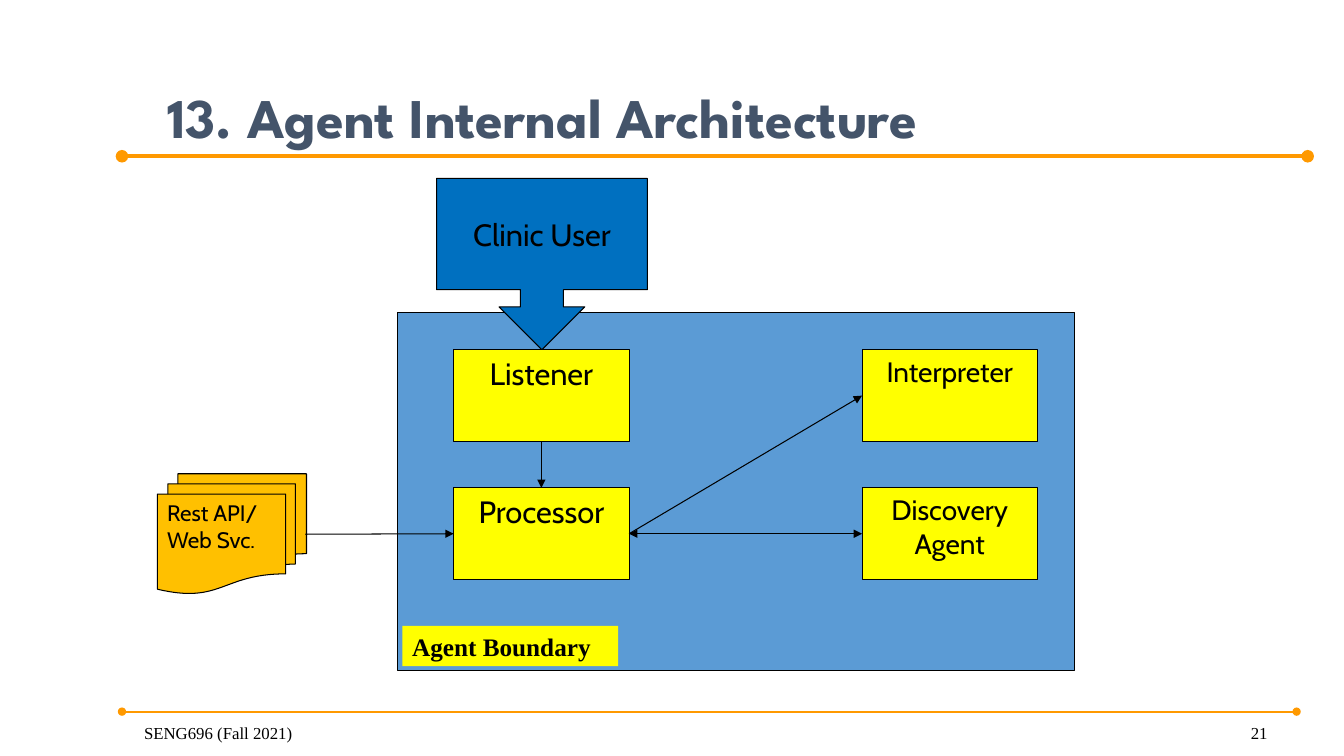
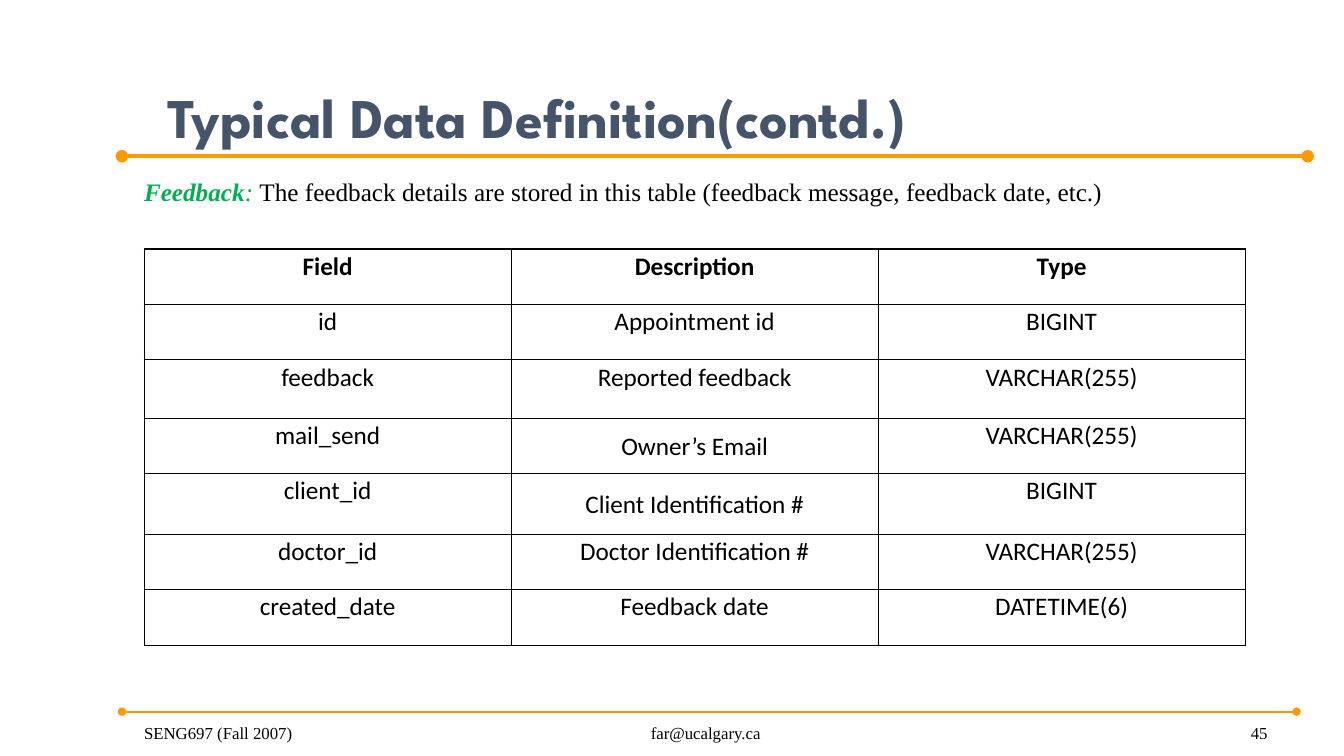
from dataclasses import dataclass

import pptx
import pptx.dml.color
import pptx.enum.shapes
import pptx.enum.text
import pptx.oxml
import pptx.oxml.ns
import pptx.util
from lxml import etree
from pptx.util import Inches

COLOURS = {
    "accent": "FF9900",
    "title": "44546A",
    "text": "000000",
    "boundary": "5B9BD5",
    "user": "0070C0",
    "component": "FFFF00",
    "service": "FFC000",
    "term": "00B050",
}
SERIF, DIAGRAM, HEADING, TABLE = "Times New Roman", "Cabin", "League Spartan", "Calibri"
LEFT, CENTER, RIGHT = (
    pptx.enum.text.PP_ALIGN.LEFT,
    pptx.enum.text.PP_ALIGN.CENTER,
    pptx.enum.text.PP_ALIGN.RIGHT,
)
TOP, MIDDLE, BOTTOM = (
    pptx.enum.text.MSO_ANCHOR.TOP,
    pptx.enum.text.MSO_ANCHOR.MIDDLE,
    pptx.enum.text.MSO_ANCHOR.BOTTOM,
)
SHAPES = pptx.enum.shapes.MSO_SHAPE
SIDE_TOP, SIDE_LEFT, SIDE_BOTTOM, SIDE_RIGHT = range(4)


@dataclass(frozen=True)
class Box:
    left: float
    top: float
    width: float
    height: float

    def emu(self) -> tuple:
        return tuple(Inches(n) for n in (self.left, self.top, self.width, self.height))


@dataclass(frozen=True)
class Component:
    label: str
    column: int
    row: int
    size: int


@dataclass(frozen=True)
class Rule:
    y: float
    right: float
    weight: float


@dataclass(frozen=True)
class Footer:
    text: str
    box: Box
    align: pptx.enum.text.PP_ALIGN


RULES = [Rule(1.55, 12.97, 3), Rule(7.06, 12.86, 1.5)]

COMPONENTS = [
    Component("Listener", 0, 0, 22),
    Component("Processor", 0, 1, 22),
    Component("Interpreter", 1, 0, 20),
    Component("Discovery\nAgent", 1, 1, 20),
]

FIELDS = [
    ("Field", "Description", "Type"),
    ("id", "Appointment id", "BIGINT"),
    ("feedback", "Reported feedback", "VARCHAR(255)"),
    ("mail_send", "Owner’s Email", "VARCHAR(255)"),
    ("client_id", "Client Identification #", "BIGINT"),
    ("doctor_id", "Doctor Identification #", "VARCHAR(255)"),
    ("created_date", "Feedback date", "DATETIME(6)"),
]
ROW_HEIGHTS = [0.55, 0.55, 0.58, 0.55, 0.6, 0.55, 0.55]
CENTRED_DESCRIPTIONS = {"mail_send", "client_id"}


def rgb(name: str) -> pptx.dml.color.RGBColor:
    return pptx.dml.color.RGBColor.from_string(COLOURS[name])


def add_run(paragraph, text: str, *, size: float, font: str = SERIF,
            colour: str = "text", bold: bool = False, italic: bool = False) -> None:
    run = paragraph.add_run()
    run.text = text
    run.font.size = pptx.util.Pt(size)
    run.font.name = font
    run.font.color.rgb = rgb(colour)
    run.font.bold = bold
    run.font.italic = italic


def write(frame, text: str, *, align=LEFT, anchor=TOP, wrap: bool = True,
          line_spacing: float = 1.0, space_after: float = 0, **run_format) -> None:
    """Fill a text frame, one paragraph per line of text."""
    frame.word_wrap = wrap
    frame.vertical_anchor = anchor
    for index, line in enumerate(text.split("\n")):
        paragraph = frame.add_paragraph() if index else frame.paragraphs[0]
        paragraph.alignment = align
        paragraph.line_spacing = line_spacing
        paragraph.space_after = pptx.util.Pt(space_after)
        add_run(paragraph, line, **run_format)


def add_text(slide, box: Box, text: str, **text_format):
    area = slide.shapes.add_textbox(*box.emu())
    write(area.text_frame, text, **text_format)
    return area


def add_block(slide, preset, box: Box, fill: str, text: str = "", **text_format):
    """Add a filled, thinly outlined shape."""
    block = slide.shapes.add_shape(preset, *box.emu())
    block.shadow.inherit = False
    block.fill.solid()
    block.fill.fore_color.rgb = rgb(fill)
    block.line.color.rgb = rgb("text")
    block.line.width = pptx.util.Pt(0.75)
    if text:
        write(block.text_frame, text, wrap=False, font=DIAGRAM, **text_format)
    return block


def add_line(slide, start: tuple[float, float], end: tuple[float, float], *,
             colour: str = "text", weight: float = 0.75, head: str = "", tail: str = ""):
    line = slide.shapes.add_connector(
        pptx.enum.shapes.MSO_CONNECTOR.STRAIGHT, *(Inches(n) for n in start + end))
    line.line.color.rgb = rgb(colour)
    line.line.width = pptx.util.Pt(weight)
    outline = line.line._get_or_add_ln()
    for tag, kind in (("a:headEnd", head), ("a:tailEnd", tail)):
        if kind:
            etree.SubElement(outline, pptx.oxml.ns.qn(tag), type=kind)
    etree.SubElement(line._element.spPr, pptx.oxml.ns.qn("a:effectLst"))
    return line


def join(slide, source, source_side: int, target, target_side: int, *, head: str = "") -> None:
    arrow = add_line(slide, (0, 0), (1, 1), head=head, tail="triangle")
    arrow.begin_connect(source, source_side)
    arrow.end_connect(target, target_side)


def add_base_slide(deck, title: str, course: str, number: str, contact: str = ""):
    """Add a slide with the shared title, rules and footer."""
    slide = deck.slides.add_slide(deck.slide_layouts[6])
    for rule in RULES:
        add_line(slide, (1.21, rule.y), (rule.right, rule.y), colour="accent",
                 weight=rule.weight, head="oval", tail="oval")
    add_text(slide, Box(1.56, 0.28, 11.49, 1.25), title, anchor=BOTTOM,
             size=40, font=HEADING, colour="title", bold=True)
    footers = [
        Footer(course, Box(1.33, 6.98, 2.78, 0.44), LEFT),
        Footer(contact, Box(4.89, 6.98, 4.22, 0.44), CENTER),
        Footer(number, Box(9.89, 6.98, 2.78, 0.44), RIGHT),
    ]
    for footer in footers:
        if footer.text:
            add_text(slide, footer.box, footer.text, align=footer.align, anchor=BOTTOM, size=12)
    return slide


def add_architecture_slide(deck) -> None:
    slide = add_base_slide(deck, "13. Agent Internal Architecture", "SENG696 (Fall 2021)", "21")
    add_block(slide, SHAPES.RECTANGLE, Box(3.94, 3.1, 6.72, 3.55), "boundary")
    add_block(slide, SHAPES.DOWN_ARROW_CALLOUT, Box(4.33, 1.77, 2.09, 1.7), "user",
              "Clinic User", align=CENTER, anchor=MIDDLE, size=22)
    listener, processor, interpreter, discovery = [
        add_block(slide, SHAPES.RECTANGLE,
                  Box(4.5 + 4.05 * part.column, 3.47 + 1.37 * part.row, 1.74, 0.91),
                  "component", part.label, align=CENTER, size=part.size)
        for part in COMPONENTS
    ]
    join(slide, listener, SIDE_BOTTOM, processor, SIDE_TOP)
    join(slide, processor, SIDE_RIGHT, interpreter, SIDE_LEFT)
    join(slide, processor, SIDE_RIGHT, discovery, SIDE_LEFT, head="triangle")

    caption = add_text(slide, Box(3.99, 6.21, 2.14, 0.4), "Agent Boundary", size=18, bold=True)
    caption.fill.solid()
    caption.fill.fore_color.rgb = rgb("component")

    add_block(slide, SHAPES.FLOWCHART_MULTIDOCUMENT, Box(1.56, 4.7, 1.48, 1.19), "service",
              "Rest API/\nWeb Svc.", size=16)
    request = add_line(slide, (3.03, 5.3), (4.5, 5.3), tail="triangle")
    request.end_connect(processor, SIDE_LEFT)


def add_borders(cell) -> None:
    properties = cell._tc.get_or_add_tcPr()
    for side in ("a:lnL", "a:lnR", "a:lnT", "a:lnB"):
        edge = etree.SubElement(properties, pptx.oxml.ns.qn(side), w=str(pptx.util.Pt(1)))
        fill = etree.SubElement(edge, pptx.oxml.ns.qn("a:solidFill"))
        etree.SubElement(fill, pptx.oxml.ns.qn("a:srgbClr"), val=COLOURS["text"])


def add_field_table(slide) -> None:
    table = slide.shapes.add_table(
        len(FIELDS), len(FIELDS[0]), *Box(1.43, 2.47, 10.92, sum(ROW_HEIGHTS)).emu()).table
    table.first_row = False
    table.horz_banding = False
    for column in table.columns:
        column.width = Inches(3.64)
    for row_index, (values, height) in enumerate(zip(FIELDS, ROW_HEIGHTS)):
        table.rows[row_index].height = Inches(height)
        for column_index, value in enumerate(values):
            cell = table.cell(row_index, column_index)
            cell.margin_left = cell.margin_right = Inches(0.07)
            cell.margin_top = cell.margin_bottom = 0
            add_borders(cell)
            cell.fill.background()
            write(cell.text_frame, value, align=CENTER, line_spacing=1.07, space_after=8,
                  size=18, font=TABLE, bold=row_index == 0)
            centred = column_index == 1 and values[0] in CENTRED_DESCRIPTIONS
            cell.vertical_anchor = MIDDLE if centred else TOP


def add_data_slide(deck) -> None:
    slide = add_base_slide(deck, "Typical Data Definition(contd.)", "SENG697 (Fall 2007)", "45",
                           contact="far@ucalgary.ca")
    summary = add_text(slide, Box(1.33, 1.7, 11.02, 0.4), "Feedback",
                       size=18, colour="term", bold=True, italic=True)
    sentence = summary.text_frame.paragraphs[0]
    add_run(sentence, ": ", size=18, colour="term", italic=True)
    add_run(sentence, "The feedback details are stored in this table "
            "(feedback message, feedback date, etc.)", size=18)
    add_field_table(slide)


def main() -> None:
    deck = pptx.Presentation()
    deck.slide_width = Inches(13.33)
    deck.slide_height = Inches(7.5)
    add_architecture_slide(deck)
    add_data_slide(deck)
    deck.save("out.pptx")


if __name__ == "__main__":
    main()
